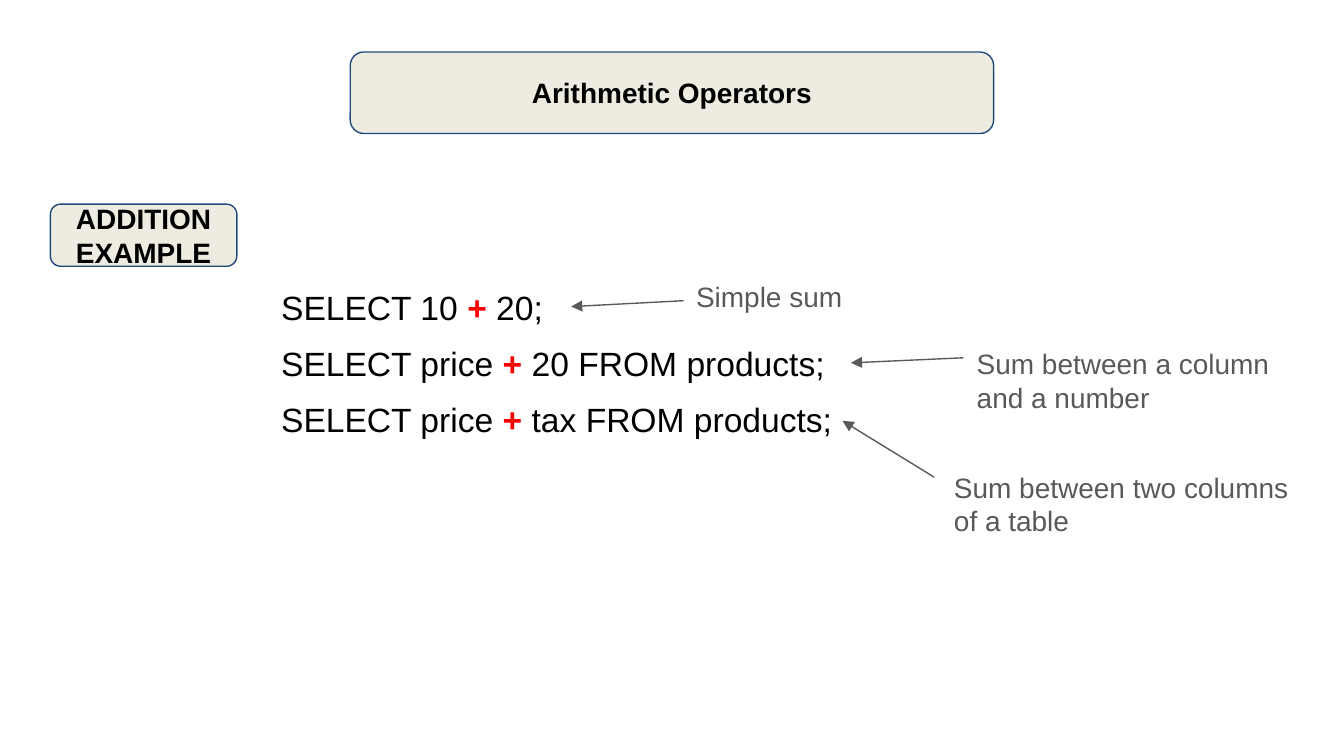
from pptx import Presentation
from pptx.dml.color import RGBColor
from pptx.enum.shapes import MSO_CONNECTOR as Link, MSO_SHAPE as Shape
from pptx.enum.text import MSO_ANCHOR as Anchor, PP_ALIGN as Align
from pptx.oxml.ns import qn
from pptx.util import Pt
from lxml.etree import SubElement

PX = 5715  # 160 px to the inch
PAD = 16 * PX
BLACK = RGBColor(0x00, 0x00, 0x00)
RED = RGBColor(0xFF, 0x00, 0x00)
GRAY = RGBColor(0x59, 0x59, 0x59)
CREAM = RGBColor(0xEE, 0xEC, 0xE1)
NAVY = RGBColor(0x1F, 0x49, 0x7D)


def px(*vals):
    return [val * PX for val in vals]


def set_frame(shape, anchor):
    frame = shape.text_frame
    frame.word_wrap = True
    frame.vertical_anchor = anchor
    frame.margin_left = frame.margin_right = PAD
    frame.margin_top = frame.margin_bottom = PAD
    return frame.paragraphs[0]


def add_run(para, text, size, color, bold=False):
    run = para.add_run()
    run.text = text
    font = run.font
    font.name, font.size, font.bold = "Arial", Pt(size), bold
    font.color.rgb = color


def add_label(slide, box, text):
    shape = slide.shapes.add_shape(Shape.ROUNDED_RECTANGLE, *px(*box))
    shape.shadow.inherit = False
    shape.fill.solid()
    shape.fill.fore_color.rgb = CREAM
    shape.line.color.rgb = NAVY
    shape.line.width = Pt(0.75)
    para = set_frame(shape, Anchor.MIDDLE)
    para.alignment = Align.CENTER
    add_run(para, text, 15, BLACK, True)


def add_text(slide, box, runs, size):
    para = set_frame(slide.shapes.add_textbox(*px(*box)), Anchor.TOP)
    for text, color, bold in runs:
        add_run(para, text, size, color, bold)


def add_query(slide, top, left_term, right_term):
    runs = [(f"SELECT {left_term} ", BLACK, False),
            ("+ ", RED, True),
            (f"{right_term};", BLACK, False)]
    add_text(slide, (319, top, 818, 74), runs, 18)


def add_arrow(slide, ends):
    arrow = slide.shapes.add_connector(Link.STRAIGHT, *px(*ends))
    arrow.line.color.rgb = GRAY
    arrow.line.width = Pt(0.75)
    props = arrow._element.spPr
    SubElement(props.get_or_add_ln(), qn("a:tailEnd"), type="triangle")
    SubElement(props, qn("a:effectLst"))


def main():
    deck = Presentation()
    deck.slide_width, deck.slide_height = px(1600, 900)
    slide = deck.slides.add_slide(deck.slide_layouts[6])

    # Title and section label
    add_label(slide, (417, 62, 766, 97), "Arithmetic Operators")
    add_label(slide, (60, 243, 222, 74), "ADDITION EXAMPLE")

    # Queries, evenly spaced
    queries = [("10", "20"),
               ("price", "20 FROM products"),
               ("price", "tax FROM products")]
    for row, terms in enumerate(queries):
        add_query(slide, 325 + 67 * row, *terms)

    # Notes, each with an arrow to its query
    notes = [
        ("Simple sum", (813, 317, 290, 46), (814, 358, 680, 365)),
        ("Sum between a column and a number",
         (1147, 397, 424, 96), (1147, 426, 1013, 432)),
        ("Sum between two columns of a table",
         (1120, 544, 450, 96), (1112, 568, 1003, 501)),
    ]
    for text, box, ends in notes:
        add_arrow(slide, ends)
        add_text(slide, box, [(text, GRAY, False)], 15)

    deck.save("out.pptx")


if __name__ == "__main__":
    main()
